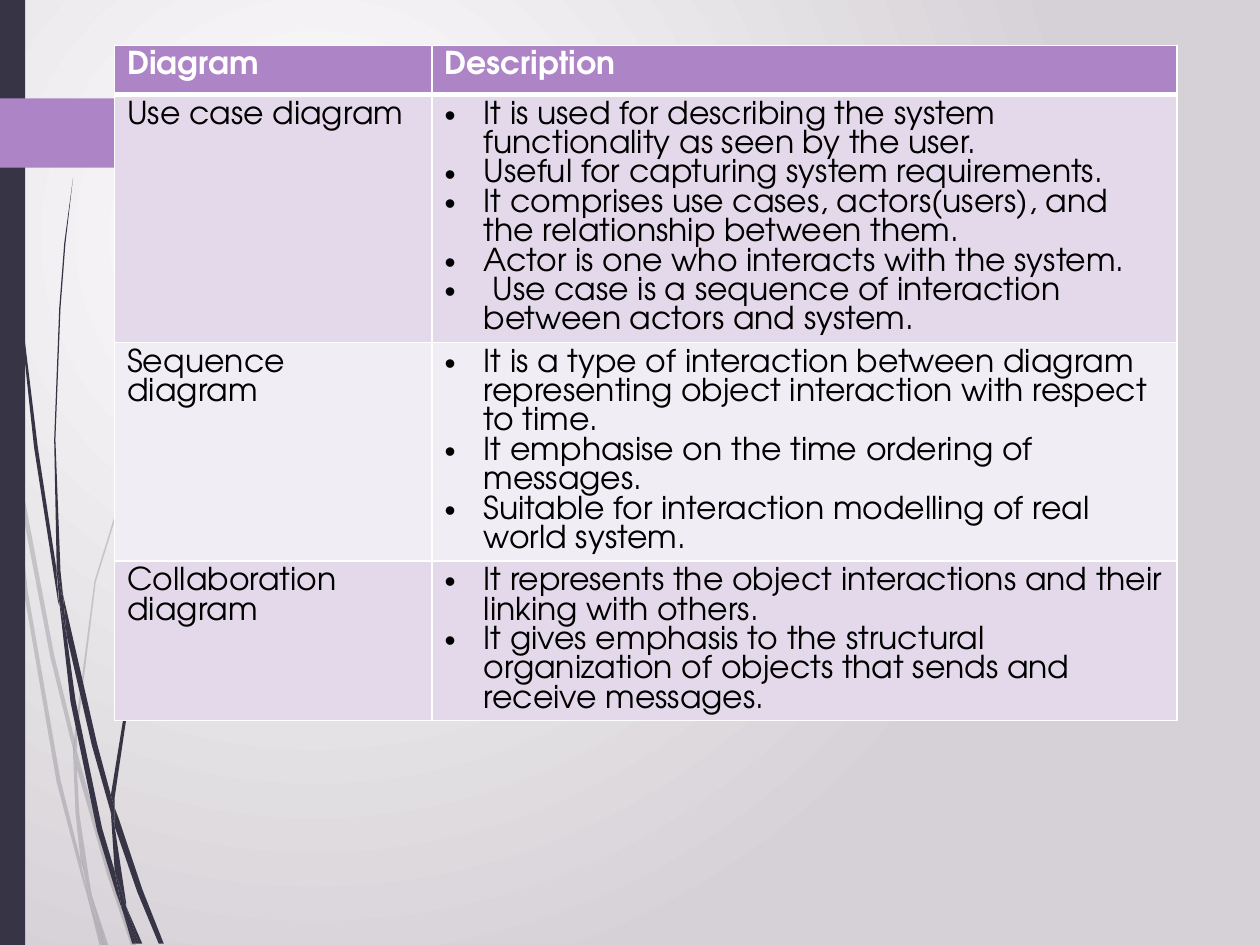
from lxml import etree
from pptx import Presentation
from pptx.dml.color import RGBColor
from pptx.enum.shapes import MSO_SHAPE
from pptx.oxml import parse_xml
from pptx.oxml.ns import nsdecls, qn
from pptx.util import Inches, Pt

RECT = MSO_SHAPE.RECTANGLE
UNIT = Inches(0.01)  # the slide is a grid of 1000 x 750 units
DARK, PURPLE, WHITE, BLACK = "373545", "AD84C6", "FFFFFF", "000000"
BANDS = ["E3D9EA", "F1EDF5"]
FONT = "TeX Gyre Adventor"

# Outlines of the grass blades, as x,y corners in grid units
PALE_BLADES = [
    "8,350 6,322 0,282 0,299 7,344",
    "40,522 59,599 59,586 43,520 10,345 12,376",
    "64,607 61,596 61,610 85,694 104,750 108,750 88,692",
    "83,750 86,750 73,711",
    "64,683 48,619 22,469 12,376 8,350 19,470 45,621 64,693 70,714 69,707",
    "58,599 60,646 64,683 67,692 73,711 72,706 63,646 61,610 61,608",
    "61,584 76,462 111,349 159,245 187,198 201,175 217,154 217,153 201,175 "
    "186,197 158,244 110,348 75,461 59,584 59,586 61,596",
    "70,714 79,750 82,750",
    "61,608 61,610 61,596 59,586 58,599",
    "67,692 65,683 69,707 70,714 82,750 83,750 73,711",
]
DARK_BLADES = [
    "5,110 14,233 27,355 46,477 47,481 45,457 45,453 30,355 15,232 6,109 "
    "4,48 3,0 2,0 3,48",
    "73,592 88,645 88,633 88,631 77,590 50,472 53,505",
    "94,649 91,641 91,656 109,708 126,749 130,749 113,706",
    "91,691 81,657 60,556 53,505 47,477 56,557 77,659 92,708 97,722 96,717",
    "50,472 48,453 44,349 48,245 52,193 58,141 51,193 47,245 43,349 45,449 "
    "49,472",
    "110,749 113,749 100,719",
    "47,477 53,505 50,472 49,472 45,449 45,453",
    "91,633 103,552 131,476 169,406 191,374 203,359 216,344 215,344 203,358 "
    "191,373 168,405 129,474 101,551 88,631 91,641",
    "97,722 105,749 108,749",
    "88,645 91,691 96,706 100,719 100,716 91,656 90,651",
    "88,645 90,651 91,656 91,641 88,631 88,633",
    "96,706 91,691 96,717 97,722 108,749 110,749 100,719",
]
TAB = "0,78 121,78 124,79 149,104 149,107 124,132 121,133 0,133"

ROWS = [
    ("Use case diagram", [
        "It is used for describing the system functionality as seen by the user.",
        "Useful for capturing system requirements.",
        "It comprises use cases, actors(users), and the relationship between them.",
        "Actor is one who interacts with the system.",
        " Use case is a sequence of interaction between actors and system."]),
    ("Sequence diagram", [
        "It is a type of interaction between diagram representing object "
        "interaction with respect to time.",
        "It emphasise on the time ordering of messages.",
        "Suitable for interaction modelling of real world system."]),
    ("Collaboration diagram", [
        "It represents the object interactions and their linking with others.",
        "It gives emphasis to the structural organization of objects that "
        "sends and receive messages."]),
]


def rgb(color):
    return RGBColor.from_string(color)


class Deck:
    def __init__(self):
        self.prs = Presentation()
        self.prs.slide_width, self.prs.slide_height = 1000 * UNIT, 750 * UNIT
        self.s = self.prs.slides.add_slide(self.prs.slide_layouts[6])

    def background(self, inner, outer):
        """Radial gradient centred a quarter in from the top left."""
        self.s.background.fill.solid()
        bg = self.s._element.find(".//" + qn("p:bgPr"))
        bg.replace(bg[0], parse_xml(
            f'<a:gradFill {nsdecls("a")} rotWithShape="1"><a:gsLst>'
            f'<a:gs pos="0"><a:srgbClr val="{inner}"/></a:gs>'
            f'<a:gs pos="100000"><a:srgbClr val="{outer}"/></a:gs></a:gsLst>'
            '<a:path path="circle"><a:fillToRect l="50000" t="50000" '
            'r="100000" b="100000"/></a:path></a:gradFill>'))

    def paint(self, sp, color, alpha=100):
        sp.shadow.inherit = False
        sp.fill.solid()
        sp.fill.fore_color.rgb = rgb(color)
        sp.line.fill.background()
        if alpha < 100:
            clr = sp._element.spPr.find(".//" + qn("a:srgbClr"))
            etree.SubElement(clr, qn("a:alpha")).set("val", str(alpha * 1000))

    def rect(self, x, y, w, h, color):
        box = [v * UNIT for v in (x, y, w, h)]
        self.paint(self.s.shapes.add_shape(RECT, *box), color)

    def outline(self, corners, color, alpha=100, shapes=None):
        points = [tuple(map(int, c.split(","))) for c in corners.split()]
        builder = (shapes or self.s.shapes).build_freeform(*points[0], scale=UNIT)
        builder.add_line_segments(points[1:], close=True)
        self.paint(builder.convert_to_shape(), color, alpha)

    def blades(self, outlines, color, alpha=100):
        group = self.s.shapes.add_group_shape()
        for corners in outlines:
            self.outline(corners, color, alpha, group.shapes)

    def cell(self, cell, lines, fill, bulleted=False, top=1, bottom=1, **font):
        cell.fill.solid()
        cell.fill.fore_color.rgb = rgb(fill)
        borders = {"L": 1, "R": 1, "T": top, "B": bottom}
        for i, (side, width) in enumerate(borders.items()):
            cell._tc.tcPr.insert(i, parse_xml(
                f'<a:ln{side} {nsdecls("a")} w="{Pt(width)}"><a:solidFill>'
                f'<a:srgbClr val="{WHITE}"/></a:solidFill></a:ln{side}>'))
        tf = cell.text_frame
        for i, line in enumerate(lines):
            p = tf.add_paragraph() if i else tf.paragraphs[0]
            if bulleted:
                self.bullet(p)
            self.run(p, line, **font)

    def bullet(self, p):
        pPr = p._p.get_or_add_pPr()
        pPr.set("marL", str(Inches(0.31)))
        pPr.set("indent", str(-Inches(0.31)))
        etree.SubElement(pPr, qn("a:buFont")).set("typeface", "Arial")
        etree.SubElement(pPr, qn("a:buChar")).set("char", "•")

    def run(self, p, text, color=BLACK, bold=False):
        r = p.add_run()
        r.text = text
        for name, value in {"name": FONT, "size": Pt(18), "bold": bold}.items():
            setattr(r.font, name, value)
        r.font.color.rgb = rgb(color)

    def table(self, x, y, widths, row_height, header, rows):
        """Rows start at row_height and grow with their text."""
        count = len(rows) + 1
        box = [v * UNIT for v in (x, y, sum(widths), row_height * count)]
        table = self.s.shapes.add_table(count, len(widths), *box).table
        for column, width in zip(table.columns, widths):
            column.width = width * UNIT
        for j, text in enumerate(header):
            self.cell(table.cell(0, j), [text], PURPLE, bottom=3,
                      color=WHITE, bold=True)
        for i, (name, points) in enumerate(rows, 1):
            style = {"fill": BANDS[(i - 1) % 2], "top": 3 if i == 1 else 1}
            self.cell(table.cell(i, 0), [name], **style)
            self.cell(table.cell(i, 1), points, bulleted=True, **style)


def main():
    deck = Deck()
    deck.background(WHITE, "D6D1D6")
    deck.blades(PALE_BLADES, DARK, alpha=20)
    deck.blades(DARK_BLADES, DARK)
    deck.rect(0, 0, 20, 750, DARK)
    deck.outline(TAB, PURPLE)
    deck.table(91, 36, [252, 591], 39, ["Diagram", "Description"], ROWS)
    deck.prs.save("out.pptx")


if __name__ == "__main__":
    main()
